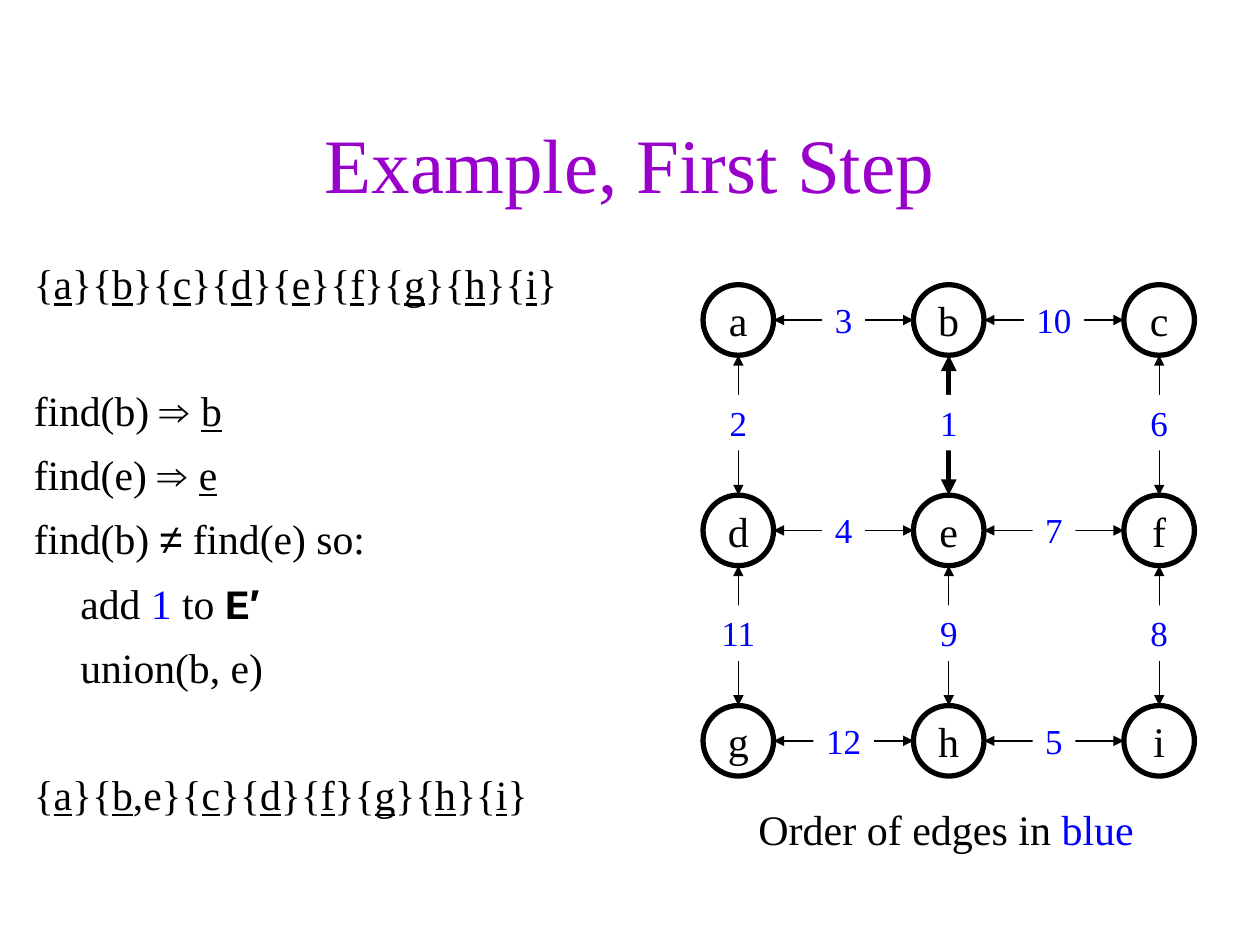
from lxml import etree
from pptx import Presentation
from pptx.dml.color import RGBColor
from pptx.enum.shapes import MSO_CONNECTOR, MSO_SHAPE
from pptx.enum.text import MSO_ANCHOR, MSO_AUTO_SIZE, PP_ALIGN
from pptx.oxml.ns import qn
from pptx.util import Inches, Pt

CENTER, LEFT = PP_ALIGN.CENTER, PP_ALIGN.LEFT
TOP, MIDDLE = MSO_ANCHOR.TOP, MSO_ANCHOR.MIDDLE
BLACK = RGBColor(0, 0, 0)
WHITE = RGBColor(255, 255, 255)
BLUE = RGBColor(0, 0, 255)
PURPLE = RGBColor(0x99, 0, 0xCC)
SERIF, SANS, MONO = "Times New Roman", "Arial", "Courier New"

# Content: a run is (text, format values)
UNDER, SYMBOL, EDGE = {"underline": True}, {"name": SANS}, {"color": BLUE}


def sets(*groups):
    """Disjoint sets, each with its first member underlined as the leader."""
    runs = []
    for group in groups:
        rest = "".join("," + member for member in group[1:])
        runs += [("{", {}), (group[0], UNDER), (rest + "}", {})]
    return runs


TITLE = "Example, First Step"
# (runs, indented, follows a gap)
STEPS = [
    (sets(*"abcdefghi"), False, False),
    ([("find(b) ", {}), ("⇒ ", SYMBOL), ("b", UNDER)], False, True),
    ([("find(e) ", {}), ("⇒ ", SYMBOL), ("e", UNDER)], False, False),
    ([("find(b) ", {}), ("≠", SYMBOL), (" find(e) so:", {})], False, False),
    ([("add ", {}), ("1", EDGE), (" to ", {}), ("E", {"name": MONO, "bold": True}),
      ("′", {"name": SANS, "bold": True})], True, False),
    ([("union(b, e)", {})], True, False),
    (sets("a", "be", *"cdfghi"), False, True),
]
CAPTION = [("Order of edges in ", {}), ("blue", EDGE)]
NODES = ["abc", "def", "ghi"]
ACROSS = [[3, 10], [4, 7], [12, 5]]
DOWN = [[2, 1, 6], [11, 9, 8]]
CHOSEN = 1

# Graph grid, in inches
FIRST_X, FIRST_Y, PITCH = 5.86, 2.54, 1.67
NODE, LABEL_H = 0.56, 0.44
STEP_SIZE, STEP_SPACE, STEP_PITCH, STEP_INDENT = 23.8, 8.2, 35.5, 0.37

prs = Presentation()
prs.slide_width, prs.slide_height = Inches(10), Inches(7.5)
slide = prs.slides.add_slide(prs.slide_layouts[5])
shapes = slide.shapes


def add_runs(paragraph, runs, size, color=BLACK):
    for text, values in runs:
        run = paragraph.add_run()
        run.text = text
        values = {"name": SERIF, "size": Pt(size), "color": color, **values}
        run.font.color.rgb = values.pop("color")
        for key, value in values.items():
            setattr(run.font, key, value)


def set_frame(shape, anchor=MIDDLE, wrap=True, align=CENTER):
    frame = shape.text_frame
    values = {"auto_size": MSO_AUTO_SIZE.NONE, "word_wrap": wrap, "vertical_anchor": anchor}
    for key, value in values.items():
        setattr(frame, key, value)
    frame.paragraphs[0].alignment = align
    return frame


def inches(*lengths):
    return [Inches(length) for length in lengths]


def add_centered(kind, x, y, width, height, text, size, color, anchor):
    shape = shapes.add_shape(kind, *inches(x - width / 2, y - height / 2, width, height))
    shape.shadow.inherit = False
    frame = set_frame(shape, anchor, wrap=False)
    add_runs(frame.paragraphs[0], [(text, {})], size, color)
    return shape


def add_edge(x1, y1, x2, y2, weight):
    edge = shapes.add_connector(MSO_CONNECTOR.STRAIGHT, *inches(x1, y1, x2, y2))
    edge.line.color.rgb = BLACK
    edge.line.width = Pt(3 if weight == CHOSEN else 0.74)
    line = edge.line._get_or_add_ln()
    for end in ("a:headEnd", "a:tailEnd"):
        etree.SubElement(line, qn(end), type="triangle")
    etree.SubElement(edge._element.spPr, qn("a:effectLst"))


def add_weight(x, y, width, weight):
    label = add_centered(MSO_SHAPE.RECTANGLE, x, y, width, LABEL_H, str(weight), 20, BLUE, TOP)
    label.fill.solid()
    label.fill.fore_color.rgb = WHITE
    label.line.fill.background()


def center(row, column):
    return FIRST_X + column * PITCH, FIRST_Y + row * PITCH


# Title
title = shapes.title
title.left, title.top, title.width, title.height = inches(0.75, 0.67, 8.5, 1.25)
add_runs(set_frame(title).paragraphs[0], [(TITLE, {})], 44, PURPLE)

# Steps of the algorithm
steps = set_frame(shapes.add_textbox(*inches(0.17, 2, 5.17, 4.5)), TOP, align=LEFT)
for number, (runs, indented, gap) in enumerate(STEPS):
    step = steps.add_paragraph() if number else steps.paragraphs[0]
    step.space_before = Pt(STEP_SPACE + gap * STEP_PITCH if number else 1)
    if indented:
        step._p.get_or_add_pPr().set("marL", str(Inches(STEP_INDENT)))
    add_runs(step, runs, STEP_SIZE)

# Nodes
for row, names in enumerate(NODES):
    for column, name in enumerate(names):
        node = add_centered(MSO_SHAPE.OVAL, *center(row, column), NODE, NODE,
                            name, 24, BLACK, MIDDLE)
        node.fill.background()
        node.line.color.rgb = BLACK
        node.line.width = Pt(3)

# Edges, each with its weight at the middle
for row, weights in enumerate(ACROSS):
    for column, weight in enumerate(weights):
        x, y = center(row, column)
        add_edge(x + NODE / 2, y, x + PITCH - NODE / 2, y, weight)
        add_weight(x + PITCH / 2, y, 0.48 if weight > 9 else 0.34, weight)
for row, weights in enumerate(DOWN):
    for column, weight in enumerate(weights):
        x, y = center(row, column)
        add_edge(x, y + NODE / 2, x, y + PITCH - NODE / 2, weight)
        add_weight(x, y + PITCH / 2 - 0.02, 0.45, weight)

# Caption
caption = shapes.add_textbox(*inches(5.92, 6.33, 3.18, 0.5))
add_runs(set_frame(caption, TOP, wrap=False, align=LEFT).paragraphs[0], CAPTION, 24)

prs.save("out.pptx")
